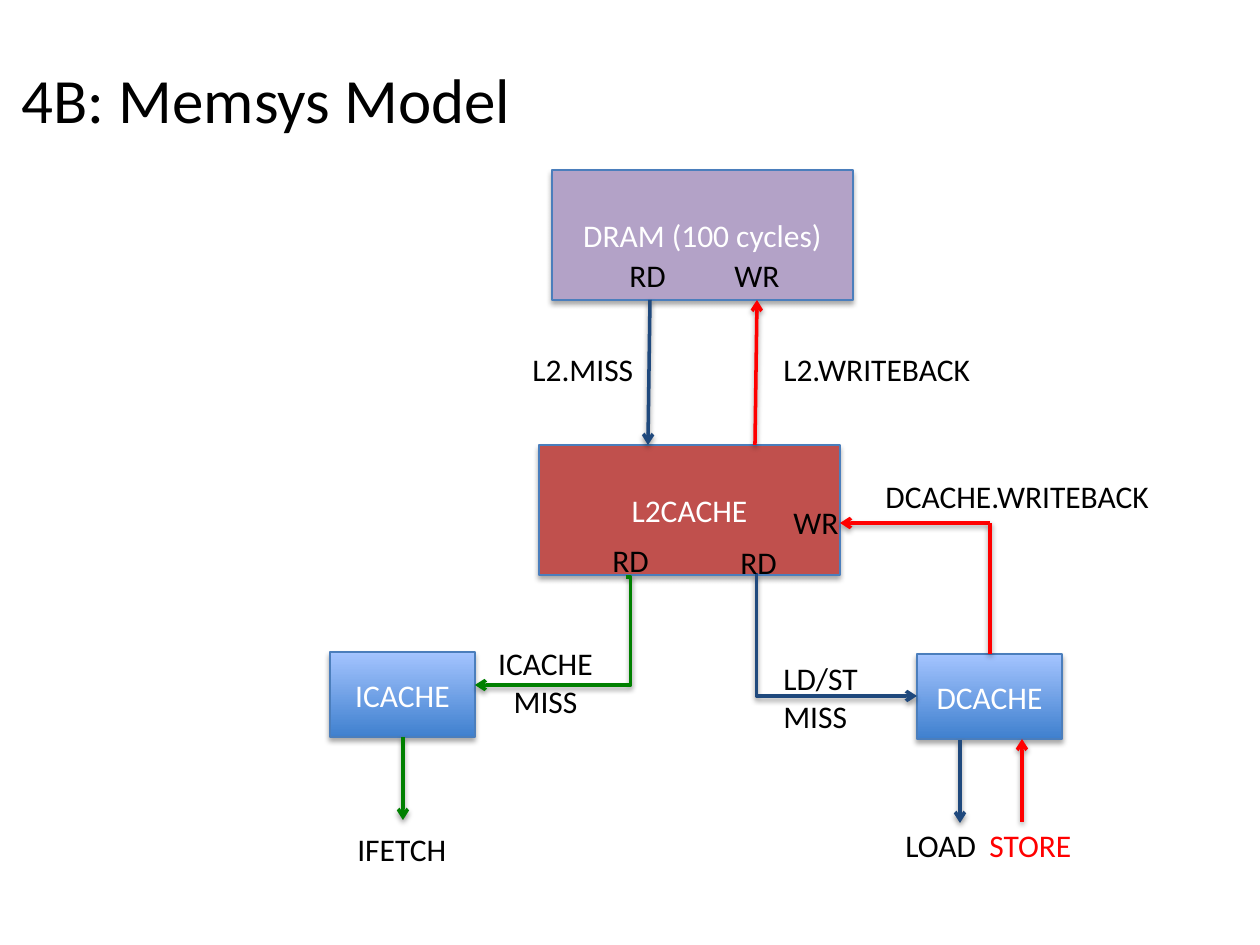
from dataclasses import dataclass

from lxml.etree import SubElement
from pptx import Presentation
from pptx.dml.color import RGBColor
from pptx.enum.shapes import MSO_CONNECTOR, MSO_SHAPE
from pptx.enum.text import MSO_ANCHOR, PP_ALIGN
from pptx.oxml.ns import qn
from pptx.util import Emu, Inches, Pt


@dataclass(frozen=True)
class Theme:
    font: str = "Calibri"
    title_size: int = 36
    text_size: int = 18
    black: str = "000000"
    white: str = "FFFFFF"
    outline: str = "4B7EBC"
    cache: tuple = ("3F80CE", "A4C4FF")
    level2: str = "C0504D"
    memory: str = "B3A2C7"
    fetch_ink: str = "008000"
    load_ink: str = "1F497D"
    store_ink: str = "FF0000"


def px(value):
    return Emu(round(value * 914400 / 126))


def color(value):
    return RGBColor.from_string(value)


class Diagram:
    def __init__(self, page, theme):
        self.page = page
        self.theme = theme

    def format(self, para, ink, size=None):
        para.font.name = self.theme.font
        para.font.size = Pt(size or self.theme.text_size)
        para.font.color.rgb = color(ink)

    def shadow(self, item, opacity, distance):
        properties = item.element.spPr
        effects = properties.find(qn("a:effectLst"))
        if effects is None:
            effects = SubElement(properties, qn("a:effectLst"))
        outer = SubElement(effects, qn("a:outerShdw"), blurRad=str(Pt(3.1)),
                           dist=str(Pt(distance)), dir="5400000", rotWithShape="0")
        tint = SubElement(outer, qn("a:srgbClr"), val=self.theme.black)
        SubElement(tint, qn("a:alpha"), val=str(opacity * 1000))

    def title(self, text, left, top, width, height):
        box = self.page.shapes.title
        box.left, box.top, box.width, box.height = map(px, (left, top, width, height))
        frame = box.text_frame
        frame.text = text
        frame.word_wrap = False
        frame.vertical_anchor = MSO_ANCHOR.TOP
        para = frame.paragraphs[0]
        para.alignment = PP_ALIGN.LEFT
        self.format(para, self.theme.black, self.theme.title_size)

    def block(self, text, left, top, width, height, fill):
        box = self.page.shapes.add_shape(
            MSO_SHAPE.RECTANGLE, *map(px, (left, top, width, height)))
        if isinstance(fill, tuple):
            box.fill.gradient()
            box.fill.gradient_angle = 90
            for stop, shade in zip(box.fill.gradient_stops, fill):
                stop.color.rgb = color(shade)
        else:
            box.fill.solid()
            box.fill.fore_color.rgb = color(fill)
        box.line.color.rgb = color(self.theme.outline)
        box.line.width = Pt(0.75)
        box.shadow.inherit = False
        self.shadow(box, 35, 1.8)
        frame = box.text_frame
        frame.text = text
        frame.word_wrap = True
        frame.vertical_anchor = MSO_ANCHOR.MIDDLE
        para = frame.paragraphs[0]
        para.alignment = PP_ALIGN.CENTER
        self.format(para, self.theme.white)

    def label(self, lines, left, top, width, align=PP_ALIGN.LEFT):
        height = 11 + 39 * len(lines)
        box = self.page.shapes.add_textbox(*map(px, (left, top, width, height)))
        frame = box.text_frame
        frame.word_wrap = False
        frame.text = "\n".join(lines)
        for para in frame.paragraphs:
            para.alignment = align
            self.format(para, self.theme.black)
        return frame.paragraphs[0]

    def tabbed_label(self, first, second, ink, left, top, width, tab):
        para = self.label([first + "\t"], left, top, width)
        defaults = para.font._element
        stops = SubElement(defaults.getparent(), qn("a:tabLst"))
        defaults.addprevious(stops)
        SubElement(stops, qn("a:tab"), pos=str(px(tab)), algn="l")
        span = para.add_run()
        span.text = second
        span.font.color.rgb = color(ink)

    def wire(self, start, end, ink, arrow=True, bend=None):
        kind = MSO_CONNECTOR.STRAIGHT if bend is None else MSO_CONNECTOR.ELBOW
        line = self.page.shapes.add_connector(kind, *map(px, (*start, *end)))
        line.line.color.rgb = color(ink)
        line.line.width = Pt(2)
        if bend is not None:
            guides = line.element.spPr.find(qn("a:prstGeom")).find(qn("a:avLst"))
            SubElement(guides, qn("a:gd"), name="adj1", fmla=f"val {bend}")
        if arrow:
            SubElement(line.element.spPr.find(qn("a:ln")), qn("a:tailEnd"), type="arrow")
        self.shadow(line, 38, 1.6)


theme = Theme()
deck = Presentation()
deck.slide_width, deck.slide_height = Inches(10), Inches(7.5)
page = deck.slides.add_slide(deck.slide_layouts[5])
diagram = Diagram(page, theme)

diagram.title("4B: Memsys Model", 9, 54, 522, 89)

for block in (
    ("ICACHE", 330, 652, 145, 85, theme.cache),
    ("DCACHE", 917, 654, 145, 85, theme.cache),
    ("L2CACHE", 539, 445, 301, 130, theme.level2),
    ("DRAM (100 cycles)", 552, 170, 301, 130, theme.memory),
):
    diagram.block(*block)

for start, end, ink in (
    ((403, 737), (403, 820), theme.fetch_ink),
    ((960, 740), (960, 823), theme.load_ink),
    ((1022, 822), (1022, 739), theme.store_ink),
    ((990, 523), (840, 523), theme.store_ink),
    ((650, 300), (648, 445), theme.load_ink),
    ((755, 445), (757, 300), theme.store_ink),
):
    diagram.wire(start, end, ink)
diagram.wire((990, 654), (990, 523), theme.store_ink, arrow=False)
diagram.wire((626, 577), (475, 685), theme.fetch_ink, bend=-3200)
diagram.wire((757, 575), (917, 696), theme.load_ink, bend=-300)

for text, left, top, width in (
    ("IFETCH", 345, 824, 116),
    ("DCACHE.WRITEBACK", 873, 471, 295),
    ("RD", 600, 535, 63),
    ("RD", 728, 537, 63),
    ("WR", 781, 497, 72),
    ("L2.WRITEBACK", 771, 344, 217),
    ("L2.MISS", 520, 344, 127),
    ("RD", 617, 250, 63),
    ("WR", 722, 250, 72),
):
    diagram.label([text], left, top, width)
diagram.label(["ICACHE", "MISS"], 485, 638, 121, PP_ALIGN.CENTER)
diagram.label(["LD/ST", "MISS"], 771, 653, 102)
diagram.tabbed_label("LOAD", "STORE", theme.store_ink, 893, 820, 197, 84)

deck.save("out.pptx")
